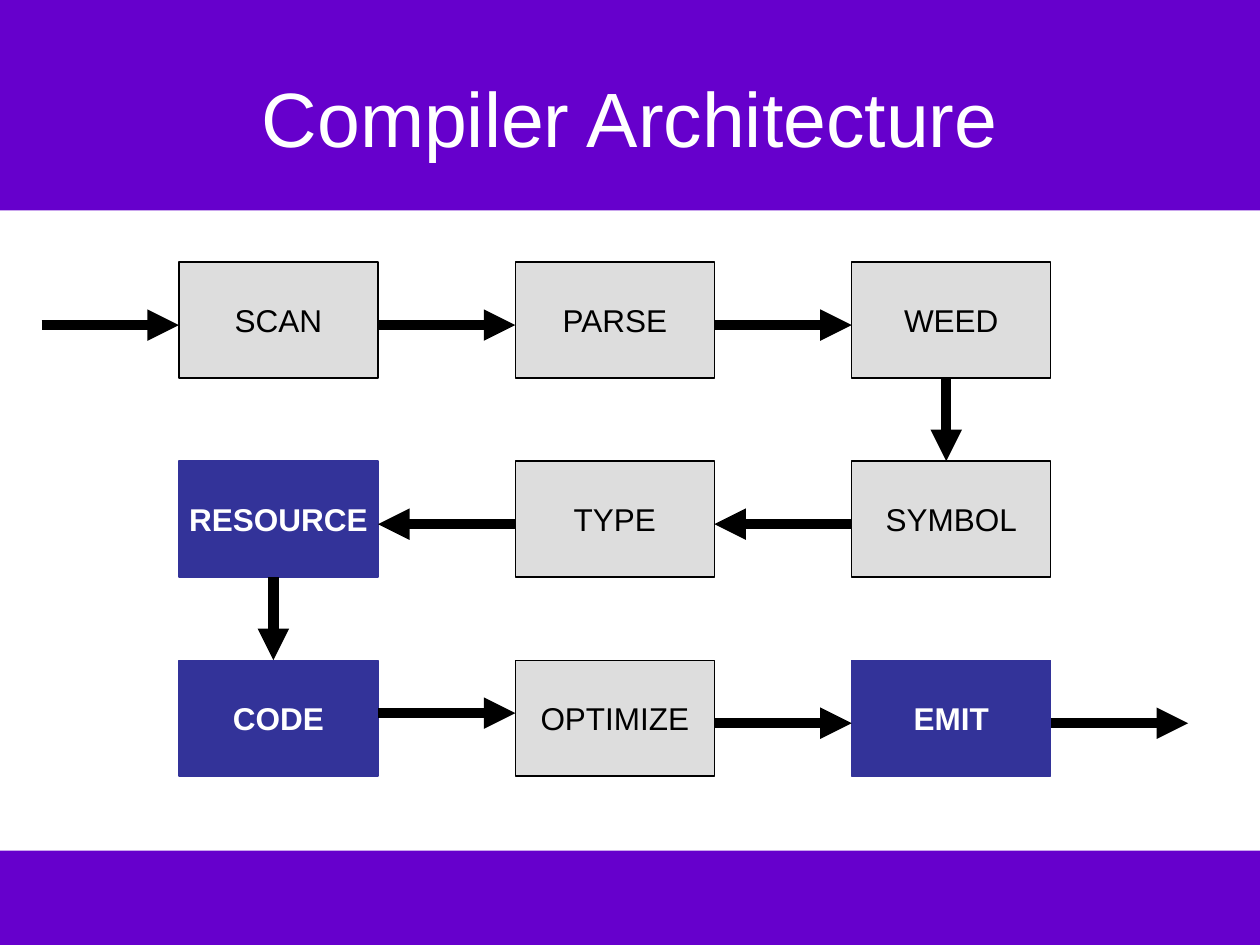
from pptx import Presentation
from pptx import util as u
from pptx.dml.color import RGBColor
from pptx.enum import shapes, text
from pptx.oxml.ns import qn
from lxml import etree

PURPLE = RGBColor(0x66, 0x00, 0xCC)
INDIGO = RGBColor(0x33, 0x33, 0x99)
GRAY = RGBColor(0xDD, 0xDD, 0xDD)
BLACK = RGBColor(0, 0, 0)
WHITE = RGBColor(0xFF, 0xFF, 0xFF)

PHASES = [
    ["SCAN", "PARSE", "WEED"],
    ["RESOURCE", "TYPE", "SYMBOL"],
    ["CODE", "OPTIMIZE", "EMIT"],
]
BACK_END = {"RESOURCE", "CODE", "EMIT"}
PHASE_W, PHASE_H = 1.58, 0.92
COLUMN_STEP, ROW_STEP = 2.67, 1.58
FLOW_Y, FLOW_X = 0.5, 0.75
OUTER_FLOW = 1.09


def write(frame, words, size, color, bold=False):
    frame.vertical_anchor = text.MSO_ANCHOR.MIDDLE
    line = frame.paragraphs[0]
    line.alignment = text.PP_ALIGN.CENTER
    run = line.add_run()
    run.text = words
    run.font.name = "Arial"
    run.font.size = u.Pt(size)
    run.font.bold = bold
    run.font.color.rgb = color


def add_rectangle(slide, left, top, width, height, fill, outline=None):
    rectangle = slide.shapes.add_shape(
        shapes.MSO_SHAPE.RECTANGLE,
        u.Inches(left), u.Inches(top), u.Inches(width), u.Inches(height))
    rectangle.shadow.inherit = False
    rectangle.fill.solid()
    rectangle.fill.fore_color.rgb = fill
    if outline is None:
        rectangle.line.fill.background()
    else:
        rectangle.line.color.rgb = outline
        rectangle.line.width = u.Pt(0.75)
    return rectangle


def add_bands(slide, width, height):
    add_rectangle(slide, 0, height - 0.75, width, 0.75, PURPLE)
    add_rectangle(slide, 0, 0, width, 1.67, PURPLE)


def add_title(slide, left, top, width, height):
    title = slide.shapes.title
    title.left, title.top = u.Inches(left), u.Inches(top)
    title.width, title.height = u.Inches(width), u.Inches(height)
    write(title.text_frame, "Compiler Architecture", 44, WHITE)
    slide.shapes._spTree.append(title._element)


def add_phase(slide, left, top, name):
    special = name in BACK_END
    phase = add_rectangle(slide, left, top, PHASE_W, PHASE_H,
                          INDIGO if special else GRAY,
                          INDIGO if special else BLACK)
    phase.text_frame.word_wrap = False
    write(phase.text_frame, name, 18, WHITE if special else BLACK, special)


def add_flow(slide, x1, y1, x2, y2):
    flow = slide.shapes.add_connector(
        shapes.MSO_CONNECTOR.STRAIGHT,
        u.Inches(x1), u.Inches(y1), u.Inches(x2), u.Inches(y2))
    flow.line.color.rgb = BLACK
    flow.line.width = u.Pt(6)
    etree.SubElement(flow.line._get_or_add_ln(), qn("a:tailEnd"), type="triangle")
    etree.SubElement(flow._element.spPr, qn("a:effectLst"))


def add_pipeline(slide, left, top):
    columns = [left + COLUMN_STEP * i for i in range(3)]
    rows = [top + ROW_STEP * i for i in range(3)]
    right_end = columns[-1] + PHASE_W

    for y, names in zip(rows, PHASES):
        for x, name in zip(columns, names):
            add_phase(slide, x, y, name)

    for row, y in enumerate(rows):
        for column in range(2):
            start, end = columns[column] + PHASE_W, columns[column + 1]
            if row == 1:
                start, end = end, start
            offset = 0.42 if PHASES[row][column] == "CODE" else FLOW_Y
            add_flow(slide, start, y + offset, end, y + offset)

    for row, column in ((0, 2), (1, 0)):
        x = columns[column] + FLOW_X
        add_flow(slide, x, rows[row] + PHASE_H, x, rows[row + 1])

    entry_y, exit_y = rows[0] + FLOW_Y, rows[-1] + FLOW_Y
    add_flow(slide, left - OUTER_FLOW, entry_y, left, entry_y)
    add_flow(slide, right_end, exit_y, right_end + OUTER_FLOW, exit_y)


def main():
    deck = Presentation()
    deck.slide_width, deck.slide_height = u.Inches(10), u.Inches(7.5)
    slide = deck.slides.add_slide(deck.slide_layouts[5])
    add_bands(slide, 10, 7.5)
    add_title(slide, 0.5, 0.3, 9, 1.25)
    add_pipeline(slide, 1.42, 2.08)
    deck.save("out.pptx")


if __name__ == "__main__":
    main()
